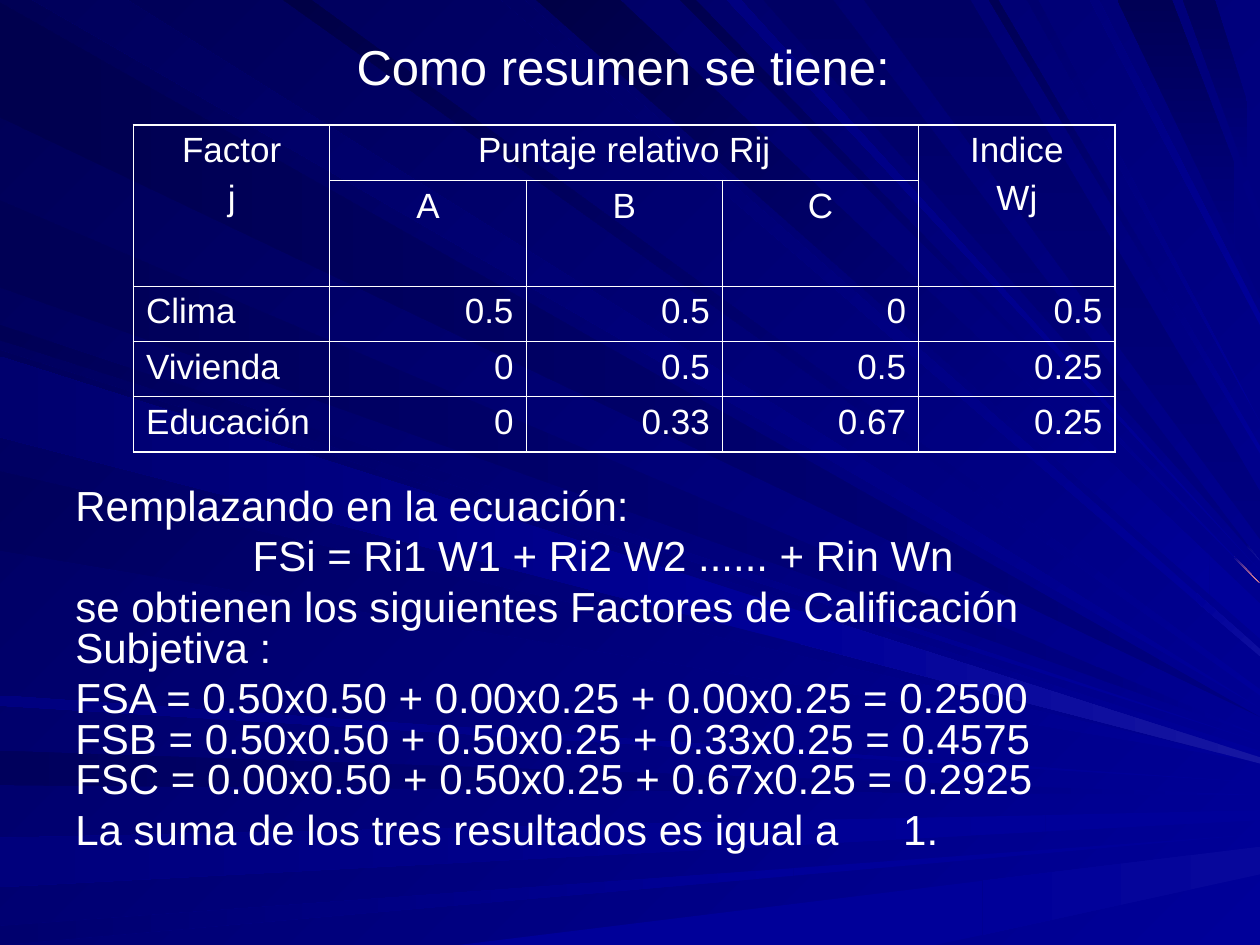
"""Build the summary slide with the score table and the subjective factor results."""
import pptx
import pptx.dml.color
import pptx.enum.text
import pptx.oxml.ns
import pptx.util
from lxml import etree

Inches = pptx.util.Inches
Pt = pptx.util.Pt
Align = pptx.enum.text.PP_ALIGN
qn = pptx.oxml.ns.qn

COLORS = {
    "white": "FFFFFF", "rose": "FF9999", "royal": "000099", "navy": "000080",
    "glow": "07079B", "bright glow": "0E0E9E", "brightest glow": "1616A1",
    "ink": "000046", "midnight": "00004E", "night": "000055", "dusk": "00005C",
    "deep": "000064", "indigo": "00006E", "cobalt": "00007C",
}

WIDTH, HEIGHT = 10, 7.5
ANGLES = {"leftward": 180, "diagonal": 135, "upward": 90}

RAYS = [
    ("left", "leftward", "midnight", "navy", (0.02, 0.93), [5.69], None, None),
    ("top", "diagonal", "dusk", "royal", (0.26, 1.01), [5.62], None, None),
    ("left", "leftward", "dusk", "navy", (5.96, 6.23), [6.31], 7, "royal"),
    ("left", "leftward", "cobalt", "royal", (6.65, 7.04), [6.43, 6.51], 8.3, "royal"),
    ("left", "leftward", "indigo", "royal", (7.35, 7.5), [6.62], 6.3, "royal"),
    ("bottom", "leftward", "royal", "royal", (3.64, 7.42), [6.72, 6.94], 7.8, "glow"),
    ("left", "diagonal", "night", "royal", (2.58, 2.7), [5.89], 8.7, "royal"),
    ("left", "leftward", "night", "navy", (1.59, 2.28), [5.84], 8.7, "royal"),
    ("top", "diagonal", "deep", "royal", (3.98, 4.16), [5.21, 5.15], 9.5, "bright glow"),
    ("top", "diagonal", "ink", "royal", (4.26, 4.92), [5.07, 4.79], 9.6, "royal"),
    ("top", "diagonal", "midnight", "royal", (5.4, 5.52), [4.63], 9.8, "rose"),
    ("top", "upward", "deep", "navy", (6.06, 6.61), [4.45], 9.9, "brightest glow"),
    ("top", "upward", "night", "navy", (8.87, 9.3), [2.37, 1.83], 9.8, "navy"),
    ("top", "upward", "dusk", "navy", (9.39, 9.64), [1.67, 1.14], 9.9, "navy"),
    ("left", "diagonal", "dusk", "royal", (2.78, 3.42), [5.96, 6.02], None, None),
    ("left", "diagonal", "dusk", "royal", (3.74, 4.37), [6.05], None, None),
    ("left", "leftward", "navy", "royal", (5.52, 5.6), [6.21], None, None),
    ("top", "diagonal", "ink", "royal", (2.25, 2.47), [5.52, 5.47], None, None),
    ("top", "diagonal", "navy", "royal", (5.77, 5.88), [4.53], None, None),
    ("top", "upward", "deep", "navy", (6.86, 7.7), [4.28, 3.9], None, None),
    ("top", "diagonal", "night", "royal", (7.85, 7.92), [3.6, 3.54], None, None),
    ("top", "diagonal", "indigo", "royal", (8.15, 8.24), [3.35], None, None),
    ("top", "diagonal", "cobalt", "royal", (8.65, 8.72), [2.58, 2.49], None, None),
    ("left", "leftward", "indigo", "royal", (2.83, 3.47), [6.01, 6.06], 6.35, "brightest glow"),
]


def shade(fill, near, far, direction):
    """Fill with a two-stop gradient."""
    fill.gradient()
    fill.gradient_angle = ANGLES[direction]
    for stop, name in zip(fill.gradient_stops, (near, far)):
        stop.color.rgb = pptx.dml.color.RGBColor.from_string(COLORS[name])


def write(frame, paragraphs, size, space, spacing=None):
    """Fill a text frame with (alignment, text) paragraphs."""
    for index, (align, text) in enumerate(paragraphs):
        para = frame.add_paragraph() if index else frame.paragraphs[0]
        para.alignment = align
        para.space_before = Pt(space if index else 0)
        if spacing:
            para.line_spacing = spacing
        for number, line in enumerate(text.split("\n")):
            if number:
                para.add_line_break()
            span = para.add_run()
            span.text = line
            span.font.size = Pt(size)
            span.font.name = "Arial"
            span.font.color.rgb = pptx.dml.color.RGBColor.from_string(COLORS["white"])


deck = pptx.Presentation()
deck.slide_width, deck.slide_height = Inches(WIDTH), Inches(HEIGHT)
page = deck.slides.add_slide(deck.slide_layouts[6])
shade(page.background.fill, "royal", "night", "diagonal")

for edge, direction, dark, light, base, tips, joint, glow in RAYS:
    border = 0 if edge == "top" else HEIGHT
    starts = [(0, place) if edge == "left" else (place, border) for place in base]
    ends = [(WIDTH, tips[0]), (WIDTH, tips[-1])]
    pieces = [(starts, ends, light, dark)]
    if joint:
        middle = [(joint, y + (tip - y) * (joint - x) / (WIDTH - x))
                  for (x, y), (right, tip) in zip(starts, ends)]
        pieces = [(starts, middle, light, dark), (middle, ends, glow, light)]
    for back, front, near, far in pieces:
        outline = [(round(x * 100), round(y * 100)) for x, y in back + front[::-1]]
        builder = page.shapes.build_freeform(*outline[0], scale=Inches(0.01))
        builder.add_line_segments(outline[1:], close=True)
        ray = builder.convert_to_shape()
        ray.shadow.inherit = False
        ray.line.fill.background()
        shade(ray.fill, near, far, direction)

title = page.shapes.add_textbox(Inches(0.5), Inches(0.3), Inches(9), Inches(0.45)).text_frame
title.word_wrap = True
title.vertical_anchor = pptx.enum.text.MSO_ANCHOR.MIDDLE
write(title, [(Align.CENTER, "Como resumen se tiene: ")], 28, 0)

body = page.shapes.add_textbox(Inches(0.5), Inches(3.83), Inches(8.67), Inches(3.15)).text_frame
body.word_wrap = True
write(body, [
    (Align.JUSTIFY, "Remplazando en la ecuación:"),
    (Align.CENTER, "FSi = Ri1 W1 + Ri2 W2 ...... + Rin Wn "),
    (Align.LEFT, "se obtienen los siguientes Factores de Calificación Subjetiva :"),
    (Align.LEFT, "FSA = 0.50x0.50 + 0.00x0.25 + 0.00x0.25 = 0.2500 \n"
                 "FSB = 0.50x0.50 + 0.50x0.25 + 0.33x0.25 = 0.4575 \n"
                 "FSC = 0.00x0.50 + 0.50x0.25 + 0.67x0.25 = 0.2925"),
    (Align.JUSTIFY, "La suma de los tres resultados es igual a\t1."),
], 24, 6, 0.8)
tabs = etree.SubElement(body.paragraphs[-1]._p.get_or_add_pPr(), qn("a:tabLst"))
etree.SubElement(tabs, qn("a:tab"), pos=str(Inches(6.57)), algn="l")

ROWS = [
    ["Factor\nj", "Puntaje relativo Rij", "", "", "Indice\nWj"],
    ["", "A", "B", "C", ""],
    ["Clima", "0.5", "0.5", "0", "0.5"],
    ["Vivienda", "0", "0.5", "0.5", "0.25"],
    ["Educación", "0", "0.33", "0.67", "0.25"],
]
HEADER_ROWS = 2
last = len(ROWS) - 1
scores = page.shapes.add_table(5, 5, Inches(1.06), Inches(0.99), Inches(7.79), Inches(2.6)).table
scores.first_row = scores.horz_banding = False
for column in scores.columns:
    column.width = Inches(7.79 / 5)
for index, row in enumerate(scores.rows):
    row.height = Inches(0.84 if index == 1 else 0.44)

for r, texts in enumerate(ROWS):
    for c, text in enumerate(texts):
        cell = scores.cell(r, c)
        edges = {"lnL": c == 0, "lnR": c == last, "lnT": r == 0, "lnB": r == last}
        for tag, outer in edges.items():
            line = etree.SubElement(cell._tc.get_or_add_tcPr(), qn("a:" + tag),
                                    w=str(Pt(1.08 if outer else 0.45)))
            paint = etree.SubElement(line, qn("a:solidFill"))
            etree.SubElement(paint, qn("a:srgbClr"), val=COLORS["white"])
        cell.fill.background()
        align = Align.CENTER if r < HEADER_ROWS else Align.RIGHT if c else Align.LEFT
        if text:
            write(cell.text_frame, [(align, part) for part in text.split("\n")], 20, 5)

scores.cell(0, 1).merge(scores.cell(0, 3))
for side in (0, last):
    scores.cell(0, side).merge(scores.cell(1, side))

deck.save("out.pptx")
